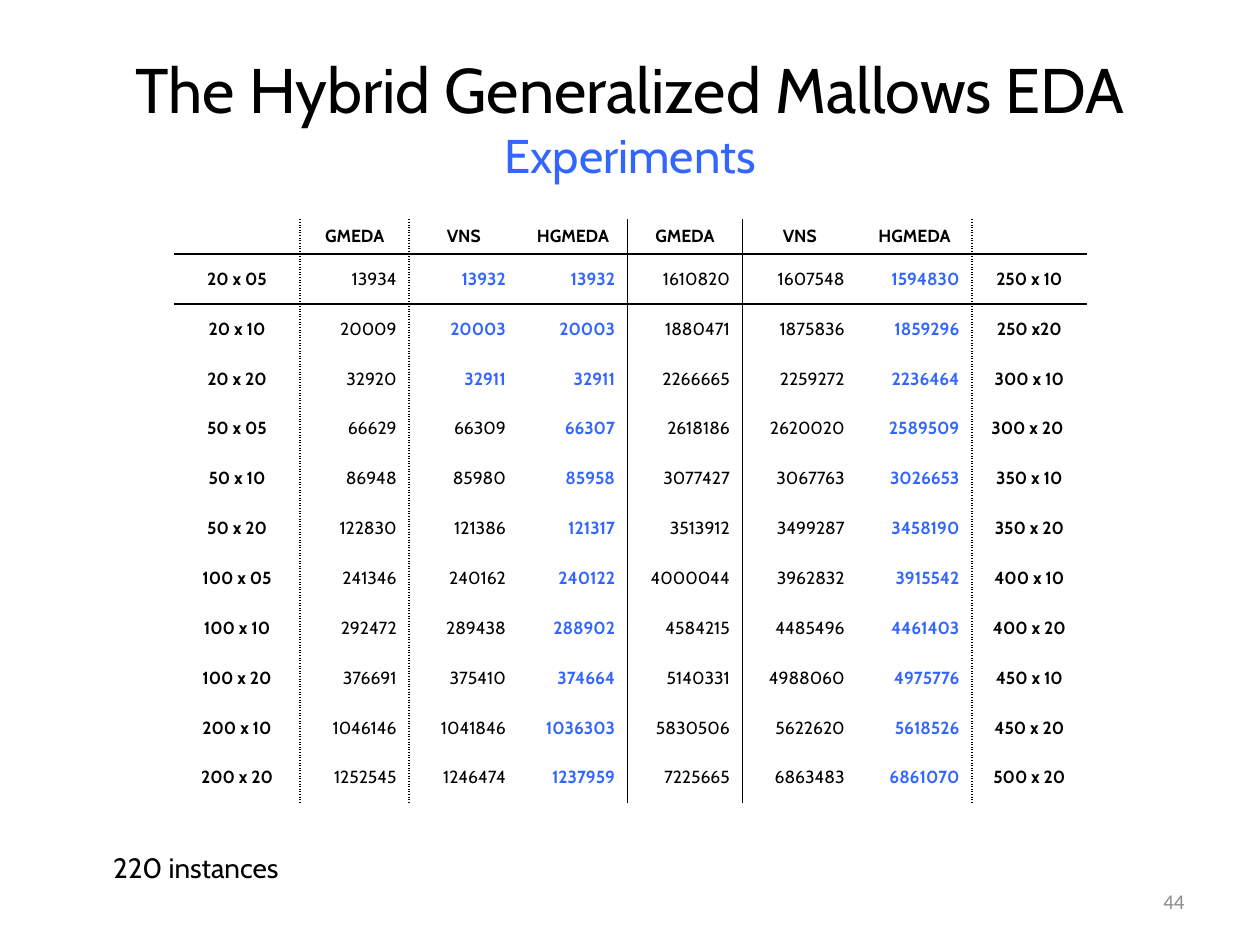
import copy
import dataclasses

import lxml.etree
import pptx
import pptx.dml.color
import pptx.enum.text
import pptx.oxml.ns
import pptx.util

Pt = pptx.util.Pt
Align = pptx.enum.text.PP_ALIGN
Anchor = pptx.enum.text.MSO_ANCHOR
qn = pptx.oxml.ns.qn


@dataclasses.dataclass(frozen=True)
class Theme:
    """Colours, fonts and type sizes of the slide."""
    ink: str = "000000"
    accent: str = "3366FF"
    muted: str = "8C8C8C"
    font: str = "Cabin"
    number_font: str = "Calibri"
    title: int = 36
    subtitle: int = 27
    note: int = 16
    page: int = 12
    cell: int = 10


THEME = Theme()
NO_GRID_STYLE = "{2D5ABB26-0587-4C30-8999-92F81FD0307C}"
COLUMN_WIDTHS = [72] + [62.4] * 3 + [65.6] * 4
HEADER_HEIGHT, ROW_HEIGHT = 20, 28.5
METHODS = ["GMEDA", "VNS", "HGMEDA"]
RESULTS = [
    ("20 x 05", 13934, 13932, 13932, 1610820, 1607548, 1594830, "250 x 10"),
    ("20 x 10", 20009, 20003, 20003, 1880471, 1875836, 1859296, "250 x20"),
    ("20 x 20", 32920, 32911, 32911, 2266665, 2259272, 2236464, "300 x 10"),
    ("50 x 05", 66629, 66309, 66307, 2618186, 2620020, 2589509, "300 x 20 "),
    ("50 x 10", 86948, 85980, 85958, 3077427, 3067763, 3026653, "350 x 10"),
    ("50 x 20", 122830, 121386, 121317, 3513912, 3499287, 3458190, "350 x 20"),
    ("100 x 05", 241346, 240162, 240122, 4000044, 3962832, 3915542, "400 x 10"),
    ("100 x 10", 292472, 289438, 288902, 4584215, 4485496, 4461403, "400 x 20"),
    ("100 x 20", 376691, 375410, 374664, 5140331, 4988060, 4975776, "450 x 10"),
    ("200 x 10", 1046146, 1041846, 1036303, 5830506, 5622620, 5618526, "450 x 20"),
    ("200 x 20", 1252545, 1246474, 1237959, 7225665, 6863483, 6861070, "500 x 20"),
]


def write_text(paragraph, text, size, color=THEME.ink, font=THEME.font, bold=False, align=Align.LEFT):
    """Add a formatted run to a paragraph and return it."""
    paragraph.alignment = align
    run = paragraph.add_run()
    run.text = text
    run.font.size = Pt(size)
    run.font.name = font
    run.font.bold = bold
    run.font.color.rgb = pptx.dml.color.RGBColor.from_string(color)
    return run


def add_title(slide, title, subtitle):
    """Place the title placeholder with a smaller coloured second line."""
    shape = slide.shapes.title
    shape.left, shape.top, shape.width, shape.height = Pt(36), Pt(21.6), Pt(648), Pt(90)
    frame = shape.text_frame
    frame.auto_size = pptx.enum.text.MSO_AUTO_SIZE.NONE
    frame.vertical_anchor = Anchor.MIDDLE
    paragraph = frame.paragraphs[0]
    run = write_text(paragraph, title, THEME.title, align=Align.CENTER)
    paragraph.add_line_break()
    paragraph._p.find(qn("a:br")).append(copy.deepcopy(run._r.find(qn("a:rPr"))))
    write_text(paragraph, subtitle, THEME.subtitle, color=THEME.accent, align=Align.CENTER)


def add_label(slide, text, left, top, width, height, wrap=True, anchor=Anchor.TOP, **text_format):
    """Add a one-line text box."""
    frame = slide.shapes.add_textbox(Pt(left), Pt(top), Pt(width), Pt(height)).text_frame
    frame.word_wrap = wrap
    frame.vertical_anchor = anchor
    write_text(frame.paragraphs[0], text, **text_format)


def set_border(cell, side, dash):
    """Draw one border of a table cell."""
    line = lxml.etree.SubElement(cell._tc.get_or_add_tcPr(), qn(f"a:ln{side}"), w=str(Pt(1)))
    fill = lxml.etree.SubElement(line, qn("a:solidFill"))
    lxml.etree.SubElement(fill, qn("a:srgbClr"), val=THEME.ink)
    lxml.etree.SubElement(line, qn("a:prstDash"), val=dash)


def rule_cell(cell, row, column):
    """Draw the rules that meet a cell: dotted beside the names, solid elsewhere."""
    dividers = {1: "sysDot", 4: "solid", 7: "sysDot"}
    if column in dividers:
        set_border(cell, "L", dividers[column])
    if column + 1 in dividers:
        set_border(cell, "R", dividers[column + 1])
    if row < 2:
        set_border(cell, "B" if row == 0 else "T", "solid")
    cell.fill.background()


def fill_cell(cell, value, best):
    """Write a name or a result, with the best results highlighted."""
    cell.vertical_anchor = Anchor.MIDDLE
    paragraph = cell.text_frame.paragraphs[0]
    if value == "":
        ending = lxml.etree.SubElement(paragraph._p, qn("a:endParaRPr"))
        ending.set("sz", str(THEME.cell * 100))
        return
    is_result = isinstance(value, int)
    write_text(
        paragraph, str(value), THEME.cell,
        color=THEME.accent if best else THEME.ink,
        bold=best or not is_result,
        align=Align.RIGHT if is_result else Align.CENTER,
    )


def add_results_table(slide):
    """Add the table of results, marking the lowest value of each instance."""
    rows = [("", *METHODS, *METHODS, "")] + RESULTS
    heights = [HEADER_HEIGHT] + [ROW_HEIGHT] * len(RESULTS)
    frame = slide.shapes.add_table(
        len(rows), len(COLUMN_WIDTHS), Pt(99.4), Pt(125.3), Pt(sum(COLUMN_WIDTHS)), Pt(sum(heights))
    )
    table = frame.table
    table.first_row = table.horz_banding = False
    table._tbl.tblPr.find(qn("a:tableStyleId")).text = NO_GRID_STYLE
    for column, width in zip(table.columns, COLUMN_WIDTHS):
        column.width = Pt(width)
    for row_index, (values, height) in enumerate(zip(rows, heights)):
        table.rows[row_index].height = Pt(height)
        lowest = (min(values[1:4]), min(values[4:7])) if row_index else ()
        for column_index, value in enumerate(values):
            cell = table.cell(row_index, column_index)
            fill_cell(cell, value, value in lowest)
            rule_cell(cell, row_index, column_index)


def main():
    """Build and save the slide."""
    presentation = pptx.Presentation()
    presentation.slide_width, presentation.slide_height = Pt(720), Pt(540)
    slide = presentation.slides.add_slide(presentation.slide_layouts[5])
    add_title(slide, "The Hybrid Generalized Mallows EDA", "Experiments")
    add_results_table(slide)
    add_label(slide, "220 instances", 57.6, 482.4, 116, 26.6, wrap=False, size=THEME.note)
    add_label(
        slide, "44", 516, 500.5, 168, 28.75, anchor=Anchor.MIDDLE,
        size=THEME.page, color=THEME.muted, font=THEME.number_font, align=Align.RIGHT,
    )
    presentation.save("out.pptx")


if __name__ == "__main__":
    main()
